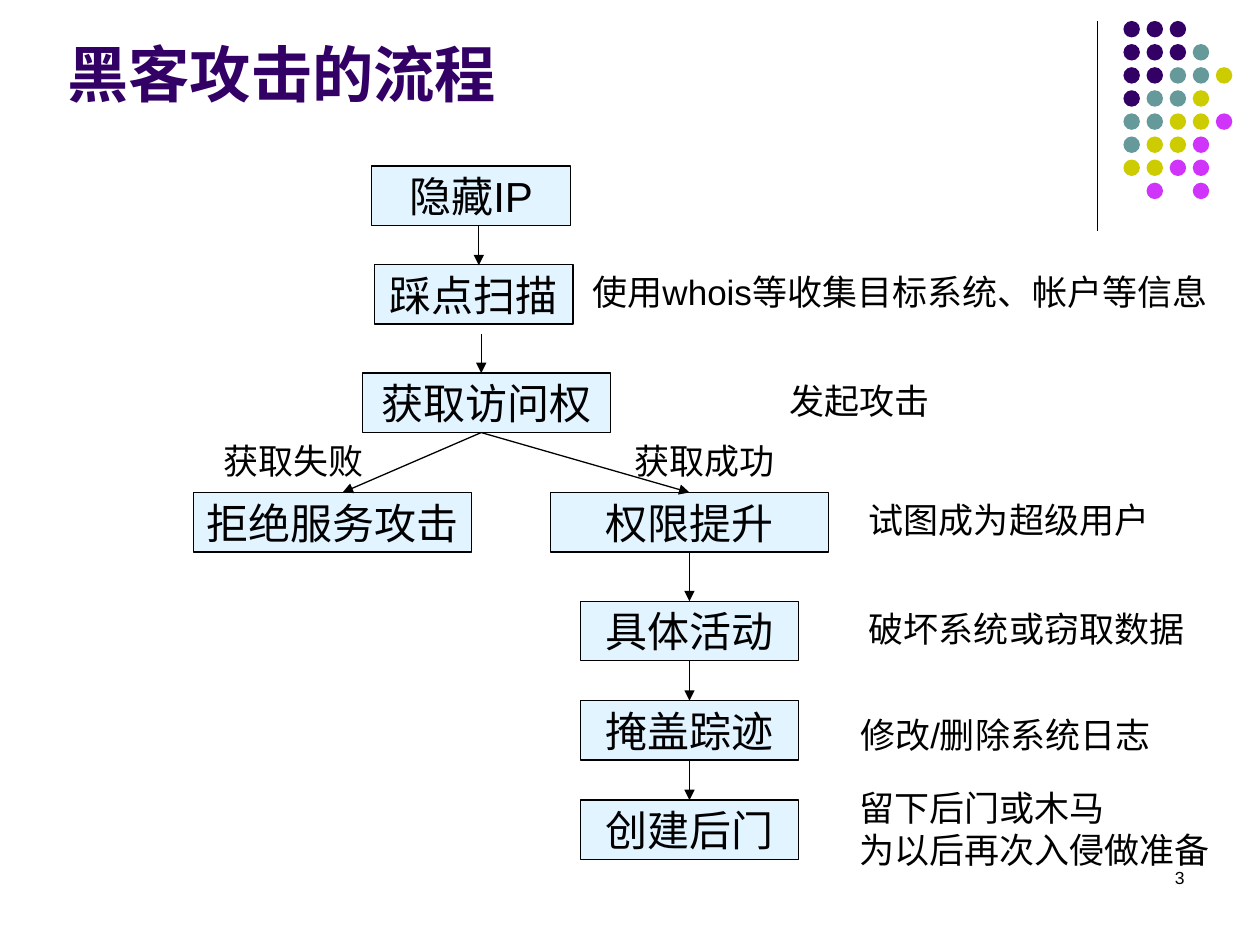
"""Build a slide with the flow chart of a hacker attack."""
from lxml import etree
from pptx import Presentation
from pptx.dml.color import RGBColor
from pptx.enum.shapes import MSO_CONNECTOR, MSO_SHAPE
from pptx.enum.text import MSO_ANCHOR, MSO_AUTO_SIZE, PP_ALIGN
from pptx.oxml.ns import qn
from pptx.util import Pt

RECT, OVAL, STRAIGHT = MSO_SHAPE.RECTANGLE, MSO_SHAPE.OVAL, MSO_CONNECTOR.STRAIGHT
LEFT, CENTER, RIGHT = PP_ALIGN.LEFT, PP_ALIGN.CENTER, PP_ALIGN.RIGHT
TOP, MIDDLE, BOTTOM = MSO_ANCHOR.TOP, MSO_ANCHOR.MIDDLE, MSO_ANCHOR.BOTTOM
GROW, FIXED = MSO_AUTO_SIZE.SHAPE_TO_FIT_TEXT, MSO_AUTO_SIZE.NONE


def rgb(value):
    return RGBColor.from_string(value)


def write(tf, text, size=20, color="000000", bold=False, align=LEFT,
          anchor=TOP, wrap=False, fit=FIXED):
    tf.word_wrap, tf.auto_size, tf.vertical_anchor = wrap, fit, anchor
    for i, line in enumerate(text.split("\n")):
        p = tf.add_paragraph() if i else tf.paragraphs[0]
        p.alignment = align
        r = p.add_run()
        r.text = line
        r.font.name, r.font.size, r.font.bold = "Arial", Pt(size), bold
        r.font.color.rgb = rgb(color)


class Deck:
    ink, purple, box_fill = "000000", "330066", "E1F4FF"
    line_width, box_height = 0.75, 34
    dot_colors = {"P": "330066", "T": "669999", "Y": "CCCC00", "M": "D034FA"}

    def __init__(self, prs):
        self.s = prs.slides.add_slide(prs.slide_layouts[5])

    def title(self, text, x, y, w, h):
        sp = self.s.shapes.title
        sp.left, sp.top, sp.width, sp.height = Pt(x), Pt(y), Pt(w), Pt(h)
        write(sp.text_frame, text, size=35, color=self.purple, bold=True,
              anchor=BOTTOM, wrap=True)

    def shape(self, kind, x, y, w, h, fill):
        sp = self.s.shapes.add_shape(kind, Pt(x), Pt(y), Pt(w), Pt(h))
        sp.shadow.inherit = False
        sp.fill.solid()
        sp.fill.fore_color.rgb = rgb(fill)
        sp.line.fill.background()
        return sp

    def box(self, text, x, y, w):
        sp = self.shape(RECT, x, y, w, self.box_height, self.box_fill)
        sp.line.color.rgb = rgb(self.ink)
        sp.line.width = Pt(self.line_width)
        write(sp.text_frame, text, size=24, align=CENTER, anchor=MIDDLE)
        return sp

    def label(self, text, x, y, w, h=31.5, **fmt):
        sp = self.s.shapes.add_textbox(Pt(x), Pt(y), Pt(w), Pt(h))
        write(sp.text_frame, text, **fmt)

    def line(self, x1=0, y1=0, x2=0, y2=0, start=None, end=None, arrow=True):
        c = self.s.shapes.add_connector(STRAIGHT, Pt(x1), Pt(y1), Pt(x2), Pt(y2))
        if start is not None:
            c.begin_connect(start, 2)
        if end is not None:
            c.end_connect(end, 0)
        c.line.color.rgb = rgb(self.ink)
        c.line.width = Pt(self.line_width)
        if arrow:
            ln = c.line._get_or_add_ln()
            etree.SubElement(ln, qn("a:tailEnd"), type="triangle")
        etree.SubElement(c._element.spPr, qn("a:effectLst"))

    def dots(self, rows, x, y, pitch, size):
        for i, row in enumerate(rows):
            for j, key in enumerate(row):
                if key in self.dot_colors:
                    self.shape(OVAL, x + j * pitch, y + i * pitch, size, size,
                               self.dot_colors[key])


def main():
    prs = Presentation()
    prs.slide_width, prs.slide_height = Pt(720), Pt(540)
    d = Deck(prs)

    d.line(627, 12, 627, 132, arrow=False)
    d.dots(["PPP", "PPPT", "PPTTY", "PTTY", "TTYYM", "TYYM", "YYMM", ".M.M"],
           x=642, y=12, pitch=13.2, size=9.4)
    d.title("黑客攻击的流程", 31.2, 15.5, 594, 51)
    d.label("3", 516, 492, 168, 36, size=10, align=RIGHT, wrap=True)

    d.box("隐藏IP", 212.5, 94.8, 113.5)
    d.box("踩点扫描", 214, 151.2, 113.5)
    d.box("获取访问权", 207.2, 213.2, 141.8)
    d.box("拒绝服务攻击", 110.4, 281.4, 159)
    escalate = d.box("权限提升", 314.5, 281.4, 159)
    chain = [escalate] + [
        d.box(text, 331.7, y, 124.6)
        for text, y in [("具体活动", 343.6), ("掩盖踪迹", 400.4), ("创建后门", 457.2)]]

    d.line(273.6, 128.8, 273.6, 151.6)
    d.line(275, 190.8, 275, 213.2)
    d.line(275, 247.2, 195.8, 281.4)
    d.line(275, 247.2, end=escalate)
    for start, end in zip(chain, chain[1:]):
        d.line(start=start, end=end)

    notes = [
        ("使用whois等收集目标系统、帐户等信息", 331.4, 151.2, 378),
        ("发起攻击", 444.2, 213.2, 96),
        ("获取失败", 120.8, 247.4, 96),
        ("获取成功", 355.4, 247.4, 96),
        ("试图成为超级用户", 489.4, 281.4, 176),
        ("破坏系统或窃取数据", 489.4, 343.6, 196),
        ("修改/删除系统日志", 484.4, 404, 192),
        ("留下后门或木马\n为以后再次入侵做准备", 484, 445.8, 216, 55.4),
    ]
    for note in notes:
        d.label(*note, fit=GROW)

    prs.save("out.pptx")


if __name__ == "__main__":
    main()
